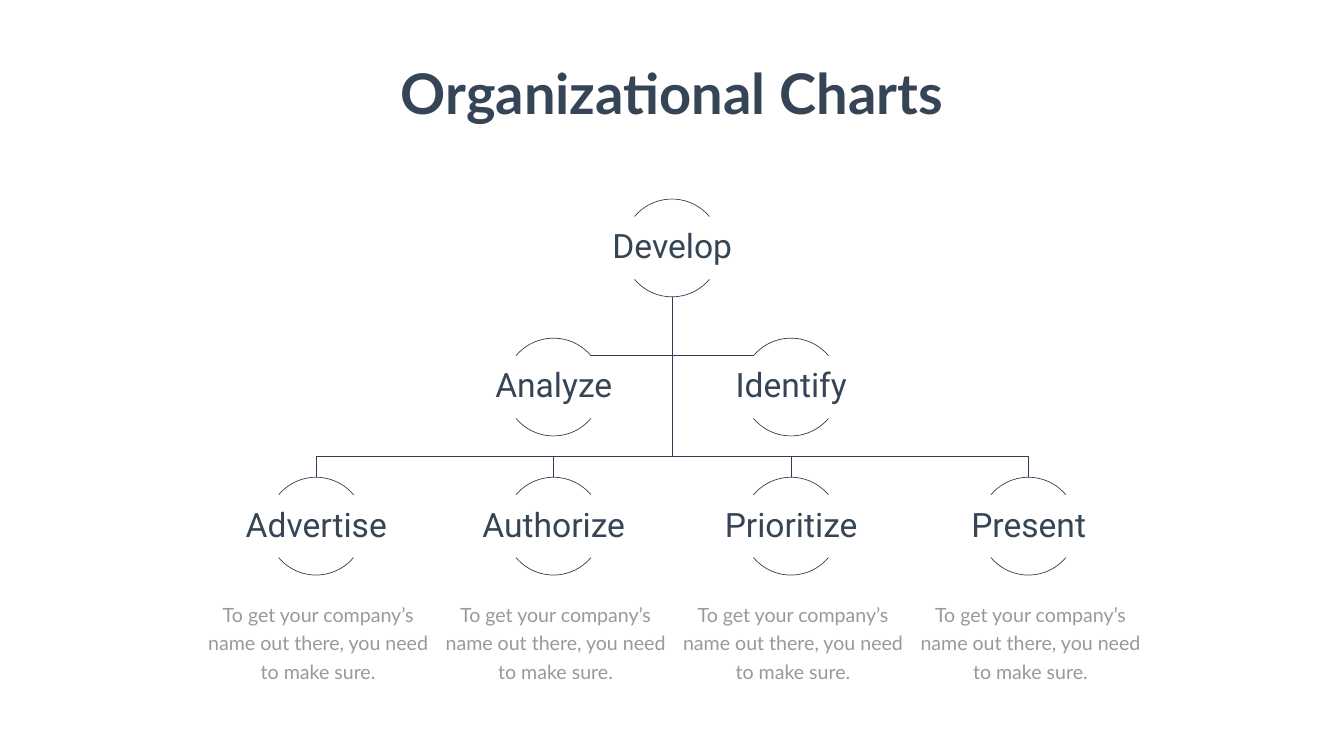
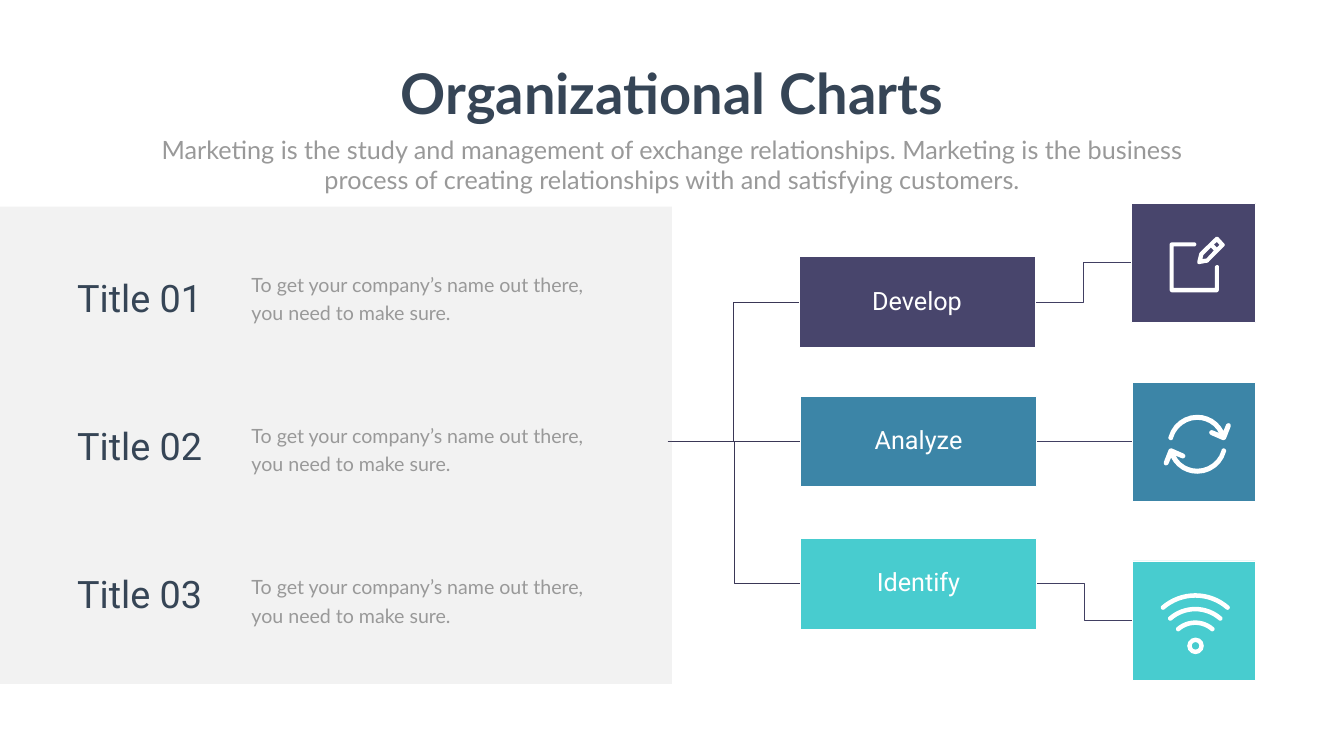
from dataclasses import dataclass
from math import cos, radians, sin
from typing import Iterable

from lxml.etree import SubElement
from pptx import Presentation
from pptx.dml.color import RGBColor
from pptx.enum.shapes import MSO_CONNECTOR as CONN, MSO_SHAPE as SHAPE
from pptx.enum.text import MSO_ANCHOR as ANCHOR, MSO_AUTO_SIZE as FIT, PP_ALIGN as ALIGN
from pptx.oxml.ns import qn
from pptx.util import Emu, Pt

Point = tuple[float, float]


@dataclass(frozen=True)
class Theme:
    ink: str = "364556"
    muted: str = "999999"
    white: str = "FFFFFF"
    panel: str = "808080"
    tree_line: str = "3A3756"
    link_line: str = "413F62"
    purple: str = "48456C"
    blue: str = "3C85A7"
    teal: str = "48CCCF"
    heading: str = "Lato"
    label: str = "Roboto"
    title_pt: int = 80
    row_pt: int = 54
    node_pt: int = 48
    box_pt: int = 36
    body_pt: int = 28
    body_leading: float = 40.8


@dataclass(frozen=True)
class Box:
    x: int
    y: int
    w: int
    h: int

    @property
    def right(self) -> int:
        return self.x + self.w

    @property
    def mid_y(self) -> int:
        return self.y + self.h // 2


@dataclass(frozen=True)
class Node:
    label: str
    cx: int
    level: int


@dataclass(frozen=True)
class Branch:
    label: str
    color: str
    box: Box
    tile: Box


T = Theme()
PX = 9144  # EMU in one px, 100 px to the inch
SLIDE_W, SLIDE_H = 2666, 1500

TITLE = "Organizational Charts"
SUBTITLE = ("Marketing is the study and management of exchange relationships. Marketing is the "
            "business process of creating relationships with and satisfying customers.")
BODY = "To get your company’s name out there, you need to make sure."

ROOT_X = SLIDE_W // 2
COLUMNS = [627 + 471 * i for i in range(4)]
CIRCLE, LEVEL_TOP, LEVEL_STEP, LABEL_DROP, BUS_Y = 194, 395, 276, 35, 906
ARCS = ((132, 192), (24, 84))  # start and end, in units of 5/3 degree
ROOT = Node("Develop", ROOT_X, 0)
HELPERS = [Node("Analyze", COLUMNS[1], 1), Node("Identify", COLUMNS[2], 1)]
LEAVES = [Node(label, cx, 2) for label, cx in
          zip(("Advertise", "Authorize", "Prioritize", "Present"), COLUMNS)]

HUB: Point = (1325, 876)
BRANCHES = [
    Branch("Develop", T.purple, Box(1585, 509, 468, 180), Box(2244, 403, 247, 237)),
    Branch("Analyze", T.blue, Box(1588, 786, 468, 180), Box(2247, 758, 243, 237)),
    Branch("Identify", T.teal, Box(1588, 1068, 468, 180), Box(2247, 1113, 243, 237)),
]

PAGE_ICON = """
M 2414 526 C 2412 526 2410 528 2410 530 L 2410 571 L 2328 571 L 2328 489 L 2369 489
C 2371 489 2373 487 2373 485 C 2373 482 2371 481 2369 481 L 2325 481
C 2322 481 2320 483 2320 486 L 2320 574 C 2320 577 2322 580 2325 580 L 2413 580
C 2416 580 2418 577 2418 574 L 2418 530 C 2418 528 2417 526 2414 526"""
PENCIL_ICON = """
M 2414 491 L 2408 485 L 2414 480 L 2419 486
M 2393 513 L 2385 514 L 2387 506 L 2402 491 L 2408 497
M 2428 483 L 2417 471 C 2416 470 2415 470 2414 470 C 2413 470 2411 470 2411 471
L 2380 501 C 2380 502 2379 502 2379 503 L 2375 519 C 2375 520 2375 522 2376 523
C 2377 524 2378 524 2379 524 L 2396 521 C 2397 520 2398 520 2398 519
L 2428 489 C 2430 487 2430 485 2428 483"""
CYCLE_ICON = """
M 2439 840 C 2436 839 2433 841 2432 843 L 2427 855 C 2417 835 2397 823 2375 823
C 2348 823 2325 841 2318 867 C 2317 870 2319 872 2321 873 C 2324 874 2327 872 2327 869
C 2333 848 2353 833 2375 833 C 2393 833 2410 843 2418 859 L 2406 854
C 2403 853 2400 854 2399 857 C 2398 859 2400 862 2402 863 L 2425 873
C 2428 874 2431 872 2432 870 L 2441 847 C 2442 844 2441 841 2439 840"""
CYCLE_CENTER: Point = (2375, 881.5)
WIFI_X, WIFI_STROKE, WIFI_HALF_ANGLE = 2371, 9, 41
WIFI_BANDS = ((1279, 102), (1284, 80), (1287, 56))  # centre y, outer radius


def rgb(color: str) -> RGBColor:
    return RGBColor.from_string(color)


def emu(*lengths: float) -> list[Emu]:
    return [Emu(round(n * PX)) for n in lengths]


def place(box: Box) -> list[Emu]:
    return emu(box.x, box.y, box.w, box.h)


def paint(sp, fill: str | None = None, line: str | None = None) -> None:
    sp.shadow.inherit = False
    if fill:
        sp.fill.solid()
        sp.fill.fore_color.rgb = rgb(fill)
    else:
        sp.fill.background()
    if line:
        sp.line.color.rgb = rgb(line)
        sp.line.width = Pt(1)
    else:
        sp.line.fill.background()


def add_text(s, text: str, box: Box, *, size: int, font: str = T.heading, color: str = T.ink,
             bold: bool = False, align=ALIGN.LEFT, leading=None, wrap: bool = True,
             label: bool = False) -> None:
    """Add a text box; a label is centred in a fixed box with thin insets."""
    tf = s.shapes.add_textbox(*place(box)).text_frame
    tf.word_wrap = wrap
    if label:
        tf.vertical_anchor = ANCHOR.MIDDLE
        tf.margin_left = tf.margin_right = tf.margin_top = tf.margin_bottom = Emu(3 * PX)
        align, leading = ALIGN.CENTER, 0.9
    else:
        tf.auto_size = FIT.SHAPE_TO_FIT_TEXT
    p = tf.paragraphs[0]
    p.alignment = align
    if leading:
        p.line_spacing = leading
    r = p.add_run()
    r.text = text
    r.font.name, r.font.size, r.font.bold = font, Pt(size), bold
    r.font.color.rgb = rgb(color)


def add_body(s, box: Box, align=ALIGN.LEFT) -> None:
    add_text(s, BODY, box, size=T.body_pt, color=T.muted, align=align,
             leading=Pt(T.body_leading))


def add_title(s) -> None:
    add_text(s, TITLE, Box(770, 112, 1126, 145), size=T.title_pt, bold=True,
             align=ALIGN.CENTER, wrap=False)


def add_outline(s, contours: Iterable[list[Point]], fill: str | None = None,
                line: str | None = None) -> None:
    """Filled outlines are closed; line-only outlines stay open."""
    builder = None
    for contour in contours:
        start, *rest = [tuple(emu(*pt)) for pt in contour]
        if builder is None:
            builder = s.shapes.build_freeform(*start, scale=1.0)
        else:
            builder.move_to(*start)
        builder.add_line_segments(rest, close=fill is not None)
    paint(builder.convert_to_shape(), fill, line)


def flatten(path: str, steps: int = 6) -> list[list[Point]]:
    """Turn M, L and C commands into contours of points."""
    contours: list[list[Point]] = []
    tokens = iter(path.split())
    for cmd in tokens:
        a, *more = [(int(next(tokens)), int(next(tokens))) for _ in range(3 if cmd == "C" else 1)]
        if cmd == "M":
            contours.append([a])
        elif cmd == "L":
            contours[-1].append(a)
        else:
            curve = (contours[-1][-1], a, *more)
            for i in range(1, steps + 1):
                t = i / steps
                weights = ((1 - t) ** 3, 3 * t * (1 - t) ** 2, 3 * t * t * (1 - t), t ** 3)
                contours[-1].append(tuple(sum(w * pt[k] for w, pt in zip(weights, curve))
                                          for k in (0, 1)))
    return contours


def arc_points(cx: float, cy: float, r: float, start: int, end: int, n: int = 16) -> list[Point]:
    """Points on an arc; angles run clockwise from straight up."""
    angles = [radians(start + (end - start) * i / n) for i in range(n + 1)]
    return [(cx + r * sin(a), cy - r * cos(a)) for a in angles]


def wifi_band(cy: int, outer: int) -> list[Point]:
    a, half = WIFI_HALF_ANGLE, WIFI_STROKE / 2
    mid = outer - half
    dx, end_y = mid * sin(radians(a)), cy - mid * cos(radians(a))
    return (arc_points(WIFI_X, cy, outer, -a, a)
            + arc_points(WIFI_X + dx, end_y, half, a, a + 180, 8)
            + arc_points(WIFI_X, cy, outer - WIFI_STROKE, a, -a)
            + arc_points(WIFI_X - dx, end_y, half, 180 - a, 360 - a, 8))


def add_link(s, start: Point, end: Point, color: str) -> None:
    kind = CONN.STRAIGHT if start[1] == end[1] else CONN.ELBOW
    c = s.shapes.add_connector(kind, *emu(*start, *end))
    c.line.color.rgb = rgb(color)
    c.line.width = Pt(1)
    SubElement(c._element.spPr, qn("a:effectLst"))


def add_node(s, node: Node) -> None:
    top = LEVEL_TOP + node.level * LEVEL_STEP
    for start, end in ARCS:
        sp = s.shapes.add_shape(SHAPE.ARC, *emu(node.cx - CIRCLE / 2, top, CIRCLE, CIRCLE))
        sp.adjustments[0], sp.adjustments[1] = start, end
        paint(sp, line=T.tree_line)
    add_text(s, node.label, Box(node.cx - 194, top + LABEL_DROP, 389, 124),
             size=T.node_pt, font=T.label, label=True)


def add_icons(s) -> None:
    cycle = flatten(CYCLE_ICON)
    cx, cy = CYCLE_CENTER
    turned = [[(2 * cx - x, 2 * cy - y) for x, y in contour] for contour in cycle]
    bands = [[wifi_band(*band)] for band in WIFI_BANDS]
    for contours in (flatten(PAGE_ICON), flatten(PENCIL_ICON), cycle, turned, *bands):
        add_outline(s, contours, fill=T.white)
    dot = s.shapes.add_shape(SHAPE.DONUT, *place(Box(2355, 1265, 33, 33)))
    dot.adjustments[0] = WIFI_STROKE / 33
    paint(dot, fill=T.white)


def build_tree(s) -> None:
    start = (ROOT_X, LEVEL_TOP + CIRCLE)
    helper_y, leaf_y = LEVEL_TOP + LEVEL_STEP + LABEL_DROP, LEVEL_TOP + 2 * LEVEL_STEP
    for node in HELPERS:
        edge = node.cx + (74 if node.cx < ROOT_X else -74)
        add_outline(s, [[start, (ROOT_X, helper_y), (edge, helper_y)]], line=T.tree_line)
    for node in LEAVES:
        add_outline(s, [[start, (ROOT_X, BUS_Y), (node.cx, BUS_Y), (node.cx, leaf_y)]],
                    line=T.tree_line)
    for node in (ROOT, *LEAVES, *HELPERS):
        add_node(s, node)
    for node in LEAVES:
        add_body(s, Box(node.cx - 233, 1181, 474, 177), ALIGN.CENTER)
    add_title(s)


def build_branches(s) -> None:
    for b in BRANCHES:
        add_link(s, (b.box.right, b.box.mid_y), (b.tile.x, b.tile.mid_y), T.link_line)
        add_link(s, HUB, (b.box.x, b.box.mid_y), T.tree_line)
    for b in BRANCHES:
        for area in (b.box, b.tile):
            paint(s.shapes.add_shape(SHAPE.RECTANGLE, *place(area)), b.color, T.white)
        add_text(s, b.label, b.box, size=T.box_pt, font=T.label, color=T.white, label=True)
    add_icons(s)

    panel = s.shapes.add_shape(SHAPE.RECTANGLE, *place(Box(0, 410, 1333, 947)))
    paint(panel, T.panel)
    color = panel._element.spPr.find(qn("a:solidFill"))[0]
    SubElement(color, qn("a:alpha"), val="10000")
    for i in range(3):
        add_text(s, f"Title {i + 1:02}", Box(143, 541 + 293 * i, 298, 101),
                 size=T.row_pt, font=T.label)
        add_body(s, Box(489, 526 + 300 * i, 728, 119))
    add_title(s)
    add_text(s, SUBTITLE, Box(292, 261, 2082, 131), size=T.box_pt, color=T.muted,
             align=ALIGN.CENTER)


def main() -> None:
    prs = Presentation()
    prs.slide_width, prs.slide_height = emu(SLIDE_W, SLIDE_H)
    for build in (build_tree, build_branches):
        build(prs.slides.add_slide(prs.slide_layouts[6]))
    prs.save("out.pptx")


if __name__ == "__main__":
    main()
